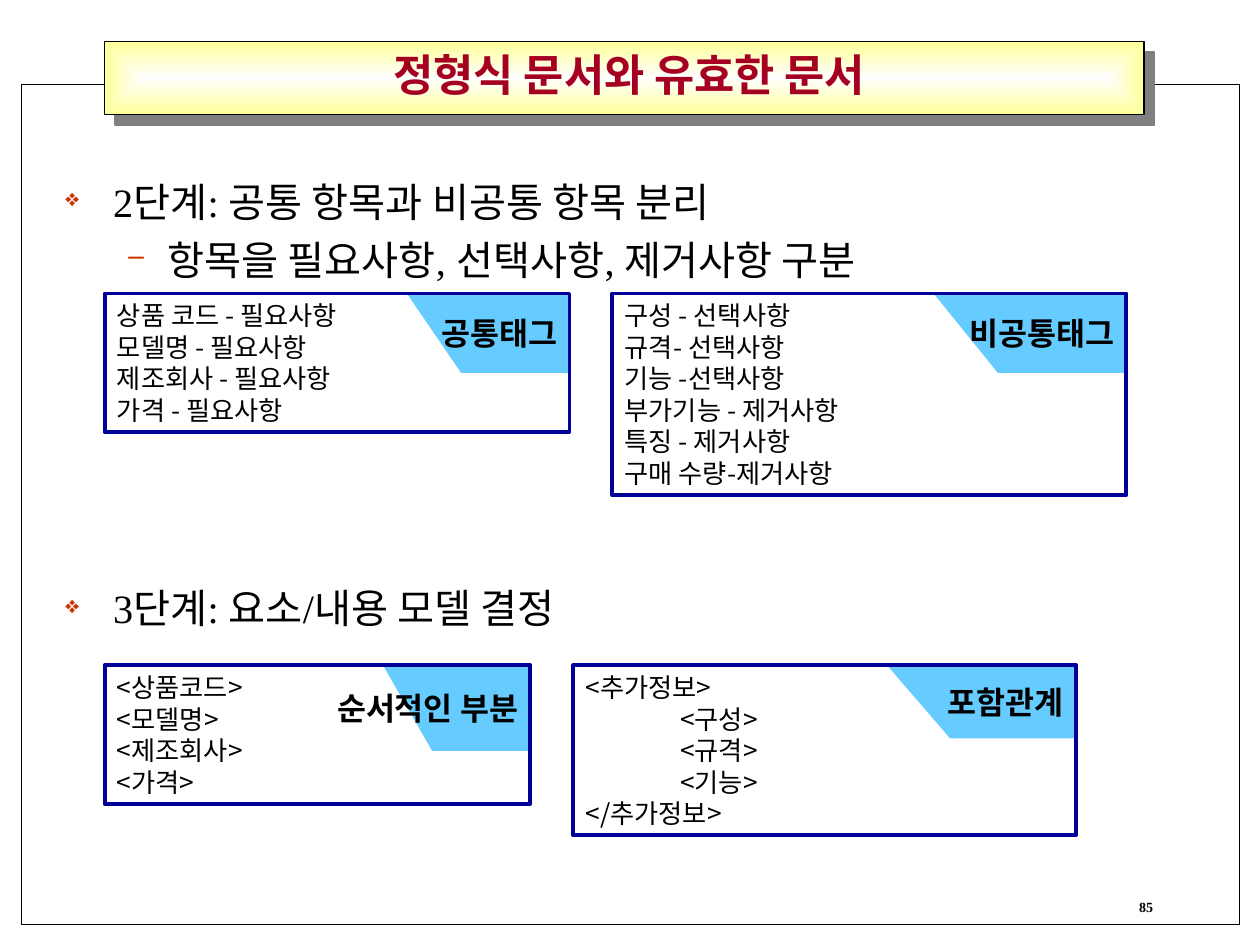
from lxml import etree
from pptx import Presentation, oxml
from pptx.dml.color import RGBColor
from pptx.enum import shapes, text
from pptx.oxml.ns import nsdecls, qn
from pptx.util import Inches, Pt

KOREAN = "Noto Sans CJK KR"
SKY, NAVY, BLACK = "66CCFF", "000099", "000000"


def paint(shape, fill=None, line=None, width=0.75):
    """Set fill and outline from hex strings; None leaves either one empty."""
    shape.shadow.inherit = False
    if fill:
        shape.fill.solid()
        shape.fill.fore_color.rgb = RGBColor.from_string(fill)
    else:
        shape.fill.background()
    if line:
        shape.line.color.rgb = RGBColor.from_string(line)
        shape.line.width = Pt(width)
    else:
        shape.line.fill.background()


def style(para, size, latin=KOREAN, color=BLACK, bold=False, align=text.PP_ALIGN.LEFT):
    para.alignment = align
    for span in para.runs:
        span.font.size = Pt(size)
        span.font.bold = bold
        span.font.name = latin
        span.font.color.rgb = RGBColor.from_string(color)
        east_asian = etree.SubElement(span.font._element, qn("a:ea"))
        east_asian.set("typeface", KOREAN)


deck = Presentation()
deck.slide_width, deck.slide_height = Inches(10), Inches(7.5)
page = deck.slides.add_slide(deck.slide_layouts[6])
RECT = shapes.MSO_SHAPE.RECTANGLE
TRIANGLE = shapes.MSO_SHAPE.RIGHT_TRIANGLE

# Page frame and title bar
frame = page.shapes.add_shape(RECT, Inches(0.17), Inches(0.67), Inches(9.67), Inches(6.67))
paint(frame, "FFFFFF", BLACK)

bar = page.shapes.add_shape(RECT, Inches(0.83), Inches(0.33), Inches(8.25), Inches(0.58))
paint(bar, "FFFF99", BLACK)
bar.fill.gradient()
for stop, color in zip(bar.fill.gradient_stops, ("FFFFFF", "FFFF99")):
    stop.color.rgb = RGBColor.from_string(color)
gradient = bar._element.spPr.find(qn("a:gradFill"))
gradient.remove(gradient.find(qn("a:lin")))
gradient.append(oxml.parse_xml(
    f'<a:path {nsdecls("a")} path="rect">'
    '<a:fillToRect l="50000" t="50000" r="50000" b="50000"/></a:path>'))
bar._element.spPr.find(qn("a:effectLst")).append(oxml.parse_xml(
    f'<a:outerShdw {nsdecls("a")} dist="107950" dir="2700000" algn="ctr" rotWithShape="0">'
    '<a:srgbClr val="808080"/></a:outerShdw>'))

number = page.shapes.add_textbox(Inches(7.17), Inches(7.08), Inches(2.08), Inches(0.25))
number.text_frame.text = "85"
style(number.text_frame.paragraphs[0], 8, "Times New Roman", bold=True,
      align=text.PP_ALIGN.RIGHT)

title = page.shapes.add_textbox(Inches(0.83), Inches(0.25), Inches(8.33), Inches(0.67))
title.text_frame.word_wrap = True
title.text_frame.vertical_anchor = text.MSO_ANCHOR.MIDDLE
title.text_frame.text = "정형식 문서와 유효한 문서"
style(title.text_frame.paragraphs[0], 25, color="A50021", bold=True,
      align=text.PP_ALIGN.CENTER)

# Steps: wording, level, left margin, hanging, bullet, bullet size, space before
steps = [
    ("2단계: 공통 항목과 비공통 항목 분리", 0, 0.38, 0.38, "❖", 60, 0),
    ("항목을 필요사항, 선택사항, 제거사항 구분", 1, 0.81, 0.31, "–", 70, 5.8),
    ("3단계: 요소/내용 모델 결정", 0, 0.38, 0.38, "❖", 60, 172),
]
body = page.shapes.add_textbox(Inches(0.42), Inches(1.36), Inches(9.17), Inches(5.5))
body.text_frame.word_wrap = True
body.text_frame.text = "\n".join(step[0] for step in steps)
for para, step in zip(body.text_frame.paragraphs, steps):
    wording, level, margin, hanging, bullet, percent, before = step
    para.level = level
    properties = para._p.get_or_add_pPr()
    properties.set("marL", str(Inches(margin)))
    properties.set("indent", str(-Inches(hanging)))
    for markup in (f'<a:buClr {nsdecls("a")}><a:srgbClr val="CC3300"/></a:buClr>',
                   f'<a:buSzPct {nsdecls("a")} val="{percent * 1000}"/>',
                   f'<a:buChar {nsdecls("a")} char="{bullet}"/>'):
        properties.append(oxml.parse_xml(markup))
    para.line_spacing = Pt(27.3)
    para.space_before = Pt(before)
    style(para, 23, "Times New Roman")

# Cards: left, top, width, height, tab width, tab height, label, lines
cards = [
    (0.83, 2.33, 3.69, 1.1, 0.86, 0.63, "공통태그",
     ["상품 코드 - 필요사항", "모델명 - 필요사항", "제조회사 - 필요사항", "가격 - 필요사항"]),
    (4.86, 2.33, 4.08, 1.6, 1.02, 0.63, "비공통태그",
     ["구성 - 선택사항", "규격- 선택사항", "기능 -선택사항", "부가기능 - 제거사항",
      "특징 - 제거사항", "구매 수량-제거사항"]),
    (0.83, 5.28, 3.38, 1.1, 0.78, 0.68, "순서적인 부분",
     ["<상품코드>", "<모델명>", "<제조회사>", "<가격>"]),
    (4.55, 5.28, 3.99, 1.35, 1, 0.58, "포함관계",
     ["<추가정보>", "<구성>", "<규격>", "<기능>", "</추가정보>"]),
]
nested = {"<구성>", "<규격>", "<기능>"}
for left, top, width, height, tab_width, tab_height, label, lines in cards:
    card = page.shapes.add_group_shape()
    tab_left = left + width - tab_width
    slope = card.shapes.add_shape(TRIANGLE, Inches(tab_left - tab_width / 2), Inches(top),
                                  Inches(tab_width / 2), Inches(tab_height))
    slope.rotation = 180
    paint(slope, SKY)

    tab = card.shapes.add_shape(RECT, Inches(tab_left), Inches(top),
                                Inches(tab_width), Inches(tab_height))
    paint(tab, SKY)
    tab.text_frame.word_wrap = False
    tab.text_frame.vertical_anchor = text.MSO_ANCHOR.MIDDLE
    tab.text_frame.text = label
    style(tab.text_frame.paragraphs[0], 18, bold=True, align=text.PP_ALIGN.RIGHT)

    box = card.shapes.add_shape(RECT, Inches(left), Inches(top), Inches(width), Inches(height))
    paint(box, line=NAVY, width=2.25)
    box.text_frame.vertical_anchor = text.MSO_ANCHOR.TOP
    box.text_frame.text = "\n".join(lines)
    for para in box.text_frame.paragraphs:
        para.line_spacing = Pt(18)
        style(para, 15)
        if para.text in nested:
            para._p.get_or_add_pPr().set("marL", str(Inches(0.75)))

deck.save("out.pptx")
